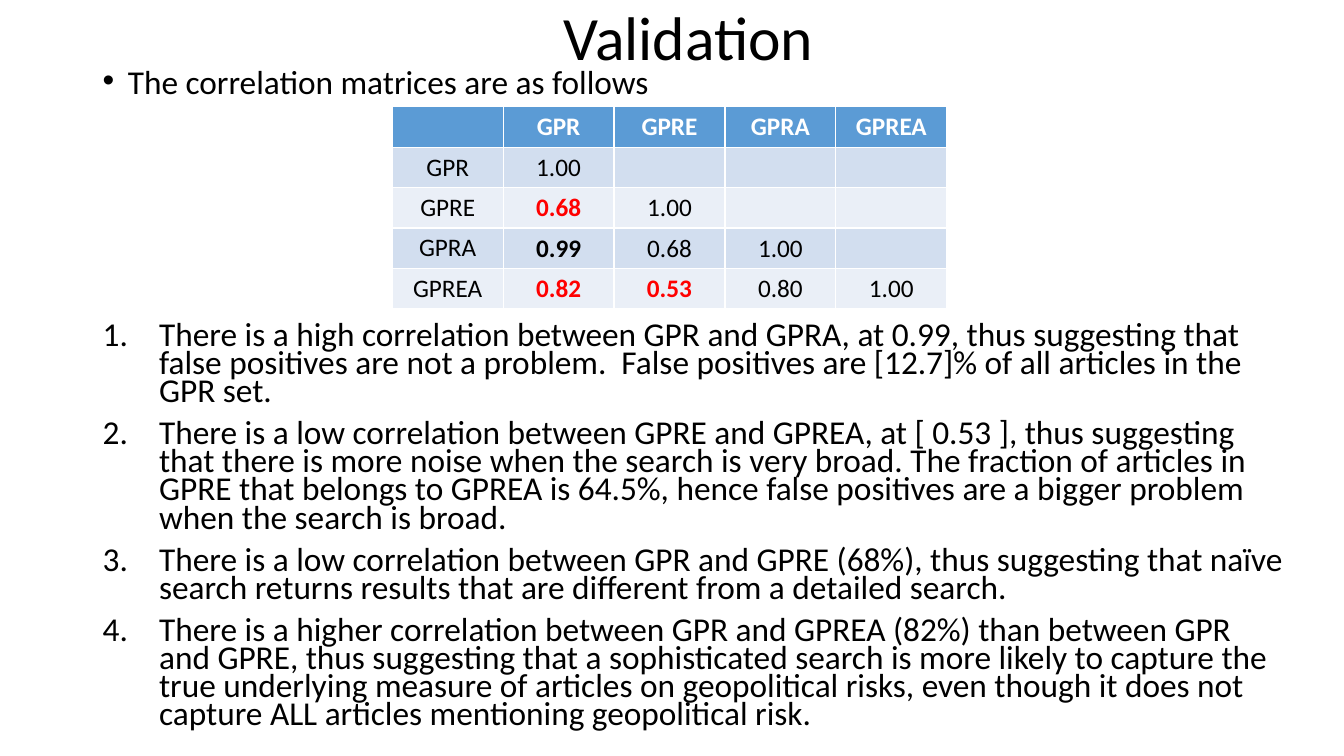
import pptx
import pptx.util
import pptx.dml.color
import pptx.enum.text
import pptx.oxml

Inches = pptx.util.Inches
Pt = pptx.util.Pt
ALIGN = pptx.enum.text.PP_ALIGN
ANCHOR = pptx.enum.text.MSO_ANCHOR


def paint(target, color):
    target.rgb = pptx.dml.color.RGBColor.from_string(color)


def add_points(slide, top, height, points, indent, bullet):
    frame = slide.shapes.add_textbox(Inches(0.92), Inches(top), Inches(11.94), Inches(height)).text_frame
    frame.word_wrap = True
    frame.text = "\n".join(points)
    for paragraph in frame.paragraphs:
        paragraph.line_spacing = 0.7
        paragraph.space_before = Pt(10)
        paragraph.font.size = Pt(23.8)
        paragraph.font.name = "Calibri"
        paint(paragraph.font.color, "000000")
        properties = paragraph._p.get_or_add_pPr()
        properties.set("marL", str(Inches(indent)))
        properties.set("indent", str(-Inches(indent)))
        namespace = pptx.oxml.ns.nsdecls("a")
        for tag in ('buFont typeface="Arial"' if bullet.startswith("buChar") else 'buFont typeface="+mj-lt"', bullet):
            name = tag.split()[0]
            mark = pptx.oxml.parse_xml(f"<a:{tag} {namespace}/>")
            properties.insert_element_before(mark, "a:tabLst", "a:defRPr", "a:extLst")


deck = pptx.Presentation()
deck.slide_width = Inches(13.33)
deck.slide_height = Inches(7.5)
slide = deck.slides.add_slide(deck.slide_layouts[5])

title = slide.shapes.title
title.left, title.top, title.width, title.height = map(Inches, (1.08, 0, 11.5, 0.8))
title.text_frame.text = "Validation"
title.text_frame.vertical_anchor = ANCHOR.MIDDLE
heading = title.text_frame.paragraphs[0]
heading.alignment = ALIGN.CENTER
heading.line_spacing = 0.9
heading.font.size = Pt(44)
heading.font.name = "Calibri"
paint(heading.font.color, "000000")

add_points(slide, 0.67, 0.4, ["The correlation matrices are as follows"], 0.25, 'buChar char="•"')

findings = [
    "There is a high correlation between GPR and GPRA, at 0.99, thus suggesting that false positives "
    "are not a problem.  False positives are [12.7]% of all articles in the GPR set.",
    "There is a low correlation between GPRE and GPREA, at [ 0.53 ], thus suggesting that there is more "
    "noise when the search is very broad. The fraction of articles in GPRE that belongs to GPREA is 64.5%, "
    "hence false positives are a bigger problem when the search is broad.",
    "There is a low correlation between GPR and GPRE (68%), thus suggesting that naïve search returns "
    "results that are different from a detailed search.",
    "There is a higher correlation between GPR and GPREA (82%) than between GPR and GPRE, thus suggesting "
    "that a sophisticated search is more likely to capture the true underlying measure of articles on "
    "geopolitical risks, even though it does not capture ALL articles mentioning geopolitical risk.",
]
add_points(slide, 3.17, 4.19, findings, 0.56, 'buAutoNum type="arabicPeriod"')

indices = ["GPR", "GPRE", "GPRA", "GPREA"]
correlations = [
    ["1.00"],
    ["0.68", "1.00"],
    ["0.99", "0.68", "1.00"],
    ["0.82", "0.53", "0.80", "1.00"],
]
low_correlations = {(2, 1), (4, 1), (4, 2)}
bold_correlations = low_correlations | {(3, 1)}
rows = [["", *indices]] + [[name, *values] for name, values in zip(indices, correlations)]
size = len(rows)

matrix = slide.shapes.add_table(
    size, size, Inches(3.89), Inches(1.06), Inches(1.1 * size), Inches(0.4 * size)
).table
for r in range(size):
    for c in range(size):
        cell = matrix.cell(r, c)
        cell.fill.solid()
        paint(cell.fill.fore_color, "5B9BD5" if r == 0 else "D2DEEF" if r % 2 else "EAEFF7")
        cell.vertical_anchor = ANCHOR.MIDDLE
        if c >= len(rows[r]) or not rows[r][c]:
            continue
        cell.text = rows[r][c]
        if r and c:
            cell.margin_left = cell.margin_right = cell.margin_top = Inches(0.01)
            cell.margin_bottom = 0
        entry = cell.text_frame.paragraphs[0]
        entry.alignment = ALIGN.CENTER
        entry.font.size = Pt(18)
        entry.font.name = "Calibri"
        entry.font.bold = r == 0 or (r, c) in bold_correlations
        paint(entry.font.color, "FFFFFF" if r == 0 else "FF0000" if (r, c) in low_correlations else "000000")

deck.save("out.pptx")
